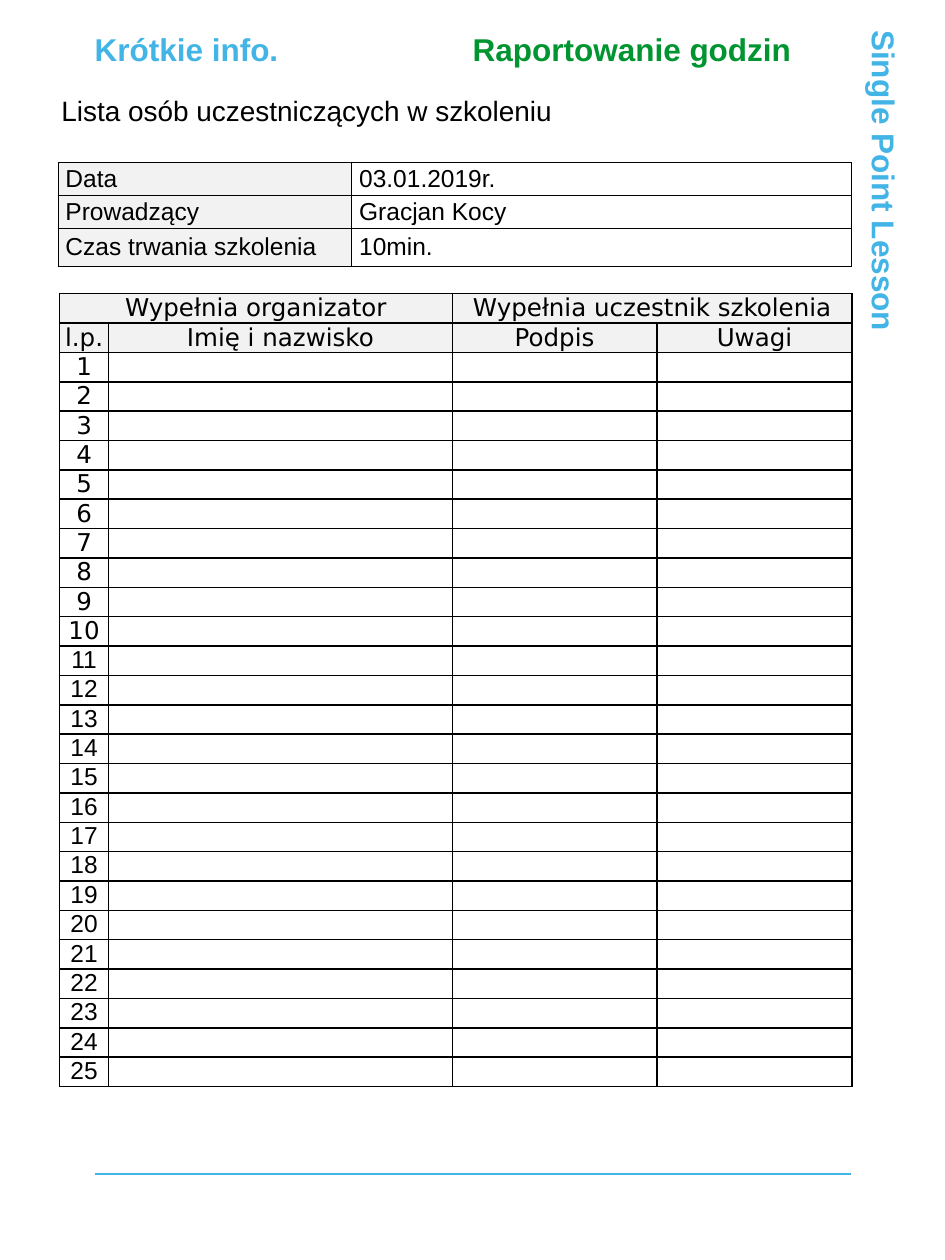
from dataclasses import dataclass

import pptx
import pptx.dml.color
import pptx.enum.shapes
import pptx.enum.text
import pptx.oxml
import pptx.oxml.ns
import pptx.util
from pptx.util import Cm

Align = pptx.enum.text.PP_ALIGN
Anchor = pptx.enum.text.MSO_ANCHOR

COLORS = {
    "blue": "42B4E6",
    "green": "009530",
    "black": "000000",
    "white": "FFFFFF",
    "header": "F2F2F2",
}
SANS, WIDE = "Arial", "DejaVu Sans"
PARTICIPANTS = 25
LAST_WIDE_NUMBER = 10


@dataclass
class Label:
    text: str
    size: float
    color: str
    bold: bool = False
    font: str = SANS
    align: Align = Align.LEFT
    anchor: Anchor = Anchor.TOP


@dataclass
class Cell:
    label: Label
    fill: str = "white"


@dataclass
class Grid:
    left: Cm
    top: Cm
    columns: list[Cm]
    rows: list[int]
    cells: list[list[Cell]]
    border: float
    margin: Cm


def rgb(name: str) -> pptx.dml.color.RGBColor:
    return pptx.dml.color.RGBColor.from_string(COLORS[name])


def write(frame, label: Label) -> None:
    """Put the label into a text frame and format its paragraph."""
    paragraph = frame.paragraphs[0]
    paragraph.text = label.text
    paragraph.alignment = label.align
    font = paragraph.font
    font.name, font.size, font.bold = label.font, pptx.util.Pt(label.size), label.bold
    font.color.rgb = rgb(label.color)
    if not label.text:
        # An empty paragraph takes its height from the end mark.
        paragraph._p.get_or_add_endParaRPr().set("sz", str(round(label.size * 100)))


def write_shape(shape, label: Label) -> None:
    frame = shape.text_frame
    frame.word_wrap = True
    frame.auto_size = pptx.enum.text.MSO_AUTO_SIZE.NONE
    frame.vertical_anchor = label.anchor
    frame.margin_left = frame.margin_right = frame.margin_top = frame.margin_bottom = 0
    write(frame, label)


def add_label(slide, label: Label, left: Cm, top: Cm, width: Cm, height: Cm) -> None:
    write_shape(slide.shapes.add_textbox(left, top, width, height), label)


def add_side_label(slide, label: Label, left: Cm, top: Cm, width: Cm, height: Cm) -> None:
    """Add a label that reads downwards; the box is given before its rotation."""
    shape = slide.shapes.add_shape(
        pptx.enum.shapes.MSO_SHAPE.RECTANGLE, left, top, width, height
    )
    shape.rotation = 90
    shape.shadow.inherit = False
    shape.fill.solid()
    shape.fill.fore_color.rgb = rgb("white")
    shape.line.fill.background()
    write_shape(shape, label)


def add_rule(slide, left: Cm, right: Cm, y: Cm) -> None:
    rule = slide.shapes.add_connector(
        pptx.enum.shapes.MSO_CONNECTOR.STRAIGHT, left, y, right, y
    )
    rule.line.color.rgb = rgb("blue")
    rule.line.width = pptx.util.Pt(1.5)
    rule._element.spPr.append(
        pptx.oxml.parse_xml(f"<a:effectLst {pptx.oxml.ns.nsdecls('a')}/>")
    )


def set_borders(cell, width: float) -> None:
    properties = cell._tc.get_or_add_tcPr()
    for index, side in enumerate(("lnL", "lnR", "lnT", "lnB")):
        properties.insert(index, pptx.oxml.parse_xml(
            f'<a:{side} {pptx.oxml.ns.nsdecls("a")} w="{int(pptx.util.Pt(width))}">'
            f'<a:solidFill><a:srgbClr val="{COLORS["black"]}"/></a:solidFill></a:{side}>'
        ))


def add_grid(slide, grid: Grid):
    table = slide.shapes.add_table(
        len(grid.rows), len(grid.columns), grid.left, grid.top,
        sum(grid.columns), sum(grid.rows),
    ).table
    table.first_row = table.horz_banding = False
    for column, width in zip(table.columns, grid.columns):
        column.width = width
    for row, height, contents in zip(table.rows, grid.rows, grid.cells):
        row.height = height
        for cell, content in zip(row.cells, contents):
            cell.margin_left = cell.margin_right = grid.margin
            cell.margin_top = cell.margin_bottom = 0
            cell.vertical_anchor = content.label.anchor
            cell.fill.solid()
            cell.fill.fore_color.rgb = rgb(content.fill)
            set_borders(cell, grid.border)
            write(cell.text_frame, content.label)
    return table


def info_cell(text: str, fill: str = "white") -> Cell:
    return Cell(Label(text, 14, "black", anchor=Anchor.MIDDLE), fill)


def heading_cell(text: str) -> Cell:
    label = Label(text, 14, "black", font=WIDE, align=Align.CENTER, anchor=Anchor.MIDDLE)
    return Cell(label, "header")


def participant_row(number: int) -> list[Cell]:
    font = WIDE if number <= LAST_WIDE_NUMBER else SANS
    return [
        Cell(Label(text, 14, "black", font=font, align=Align.CENTER))
        for text in (str(number), "", "", "")
    ]


def main() -> None:
    presentation = pptx.Presentation()
    presentation.slide_width, presentation.slide_height = Cm(19.05), Cm(25.4)
    slide = presentation.slides.add_slide(presentation.slide_layouts[5])

    add_label(slide, Label("Krótkie info.", 18, "blue", True),
              Cm(1.91), Cm(0.61), Cm(7), Cm(0.76))
    add_side_label(slide, Label("Single Point Lesson", 18, "blue", True),
                   Cm(10.44), Cm(7.62), Cm(14.78), Cm(0.76))
    add_rule(slide, Cm(1.91), Cm(17.15), Cm(23.67))

    headings = [
        ["Wypełnia organizator", "", "Wypełnia uczestnik szkolenia", ""],
        ["l.p.", "Imię i nazwisko", "Podpis", "Uwagi"],
    ]
    attendance = [[heading_cell(text) for text in row] for row in headings]
    attendance += [participant_row(number) for number in range(1, PARTICIPANTS + 1)]
    table = add_grid(slide, Grid(
        Cm(1.2), Cm(5.92), [Cm(0.99), Cm(6.93), Cm(4.12), Cm(3.94)],
        [Cm(16) // len(attendance)] * len(attendance), attendance, 1, Cm(0.1),
    ))
    for first in (0, 2):
        table.cell(0, first).merge(table.cell(0, first + 1))

    title = slide.shapes.title
    title.left, title.top, title.width, title.height = Cm(9.53), Cm(0.61), Cm(7.62), Cm(1.14)
    write_shape(title, Label("Raportowanie godzin", 18, "green", True))

    details = {
        "Data": "03.01.2019r.",
        "Prowadzący": "Gracjan Kocy",
        "Czas trwania szkolenia": "10min.",
    }
    add_grid(slide, Grid(
        Cm(1.17), Cm(3.28), [Cm(5.92), Cm(10.08)], [Cm(0.66), Cm(0.66), Cm(0.77)],
        [[info_cell(name, "header"), info_cell(value)] for name, value in details.items()],
        0.5, Cm(0.15),
    ))
    add_label(slide, Label("Lista osób uczestniczących w szkoleniu", 16, "black"),
              Cm(1.24), Cm(1.88), Cm(15.5), Cm(0.94))

    presentation.save("out.pptx")


if __name__ == "__main__":
    main()
